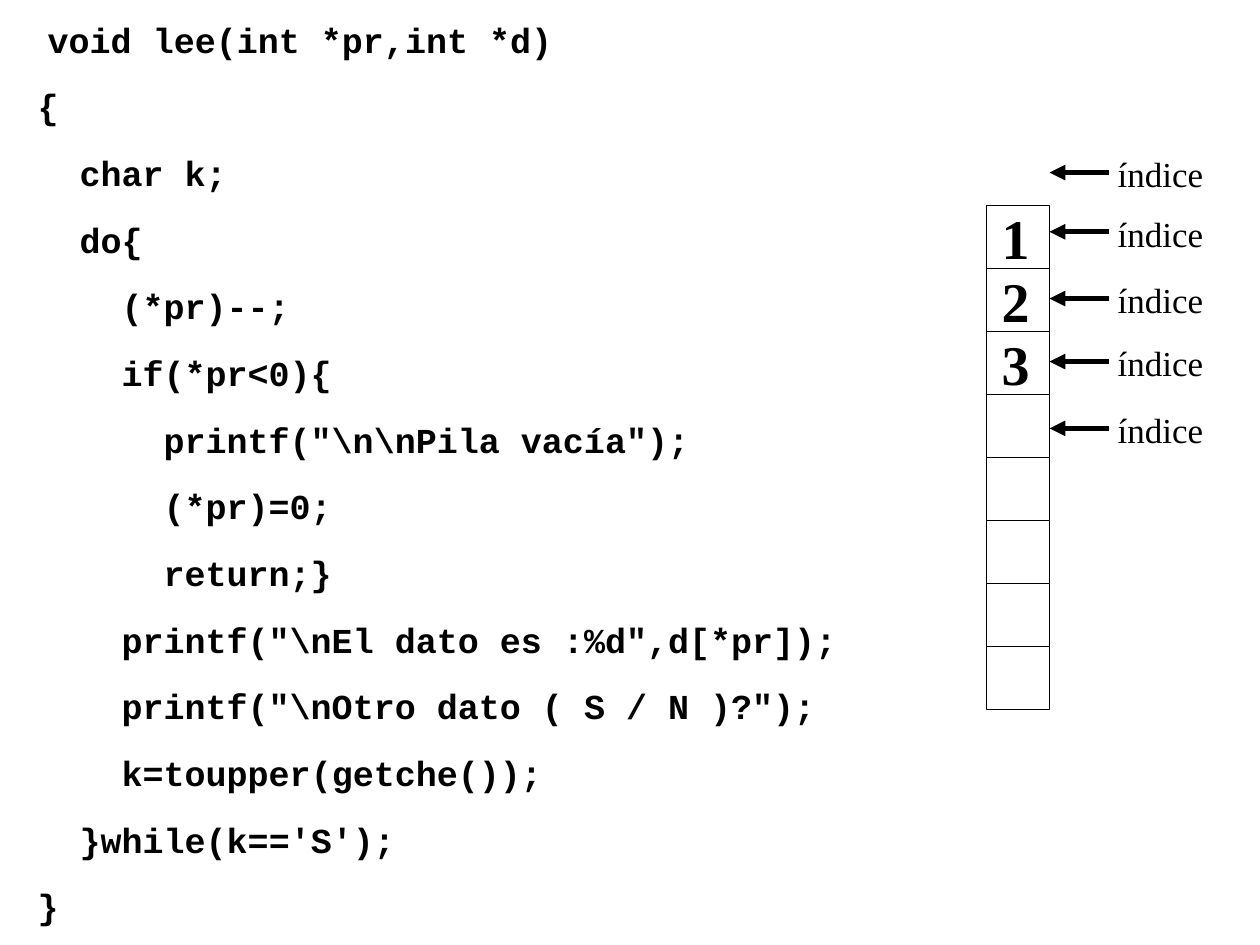
from pptx import Presentation
from pptx.dml.color import RGBColor
from pptx.enum import shapes, text
from pptx.oxml.ns import qn
from pptx.util import Inches, Pt
from lxml import etree

BLACK, WHITE = "000000", "FFFFFF"
CODE_FONT, LABEL_FONT = "Courier New", "Times New Roman"
CHAR_WIDTH = 1 / 6  # inches, for the 20 pt fixed-width font
INDENT_CHARS = 2

# Indent level and wording of each line
CODE = [
    (0, "void lee(int *pr,int *d)"),
    (0, "{"),
    (1, "char k;"),
    (1, "do{"),
    (2, "(*pr)--;"),
    (2, "if(*pr<0){"),
    (3, 'printf("\\n\\nPila vacía");'),
    (3, "(*pr)=0;"),
    (3, "return;}"),
    (2, 'printf("\\nEl dato es :%d",d[*pr]);'),
    (2, 'printf("\\nOtro dato ( S / N )?");'),
    (2, "k=toupper(getche());"),
    (1, "}while(k=='S');"),
    (0, "}"),
]
STACK_VALUES = ["1", "2", "3"]
STACK_SIZE = 8
INDEX_TOPS = [1.23, 1.70, 2.23, 2.73, 3.26]


def color(hex_string):
    return RGBColor.from_string(hex_string)


def add_run(paragraph, wording, font, size, bold=False):
    run = paragraph.add_run()
    run.text = wording
    run.font.name = font
    run.font.size = Pt(size)
    run.font.bold = bold
    run.font.color.rgb = color(BLACK)


def add_box(parent, left, top, width, height):
    """Add a plain white rectangle without outline or text margins."""
    box = parent.add_shape(shapes.MSO_SHAPE.RECTANGLE, Inches(left), Inches(top),
                           Inches(width), Inches(height))
    box.shadow.inherit = False
    box.fill.solid()
    box.fill.fore_color.rgb = color(WHITE)
    box.line.fill.background()
    frame = box.text_frame
    frame.margin_left = frame.margin_right = 0
    frame.margin_top = frame.margin_bottom = 0
    frame.vertical_anchor = text.MSO_ANCHOR.MIDDLE
    frame.paragraphs[0].alignment = text.PP_ALIGN.LEFT
    return box


def add_stack(parent, left, top, cell):
    for row in range(STACK_SIZE):
        square = add_box(parent, left, top + row * cell, cell, cell)
        square.rotation = 90
        square.line.color.rgb = color(BLACK)
        square.line.width = Pt(0.75)
    for row, value in enumerate(STACK_VALUES):
        number = add_box(parent, left + 0.12, top + row * cell + 0.1, 0.3, 0.3)
        add_run(number.text_frame.paragraphs[0], value, LABEL_FONT, 32, bold=True)


def add_index_pointer(parent, left, top):
    """Group an arrow, whose tip is at left, with the label it starts from."""
    pointer = parent.add_group_shape().shapes
    label = add_box(pointer, left + 0.54, top, 0.7, 0.3)
    add_run(label.text_frame.paragraphs[0], "índice", LABEL_FONT, 20)

    arrow_y = Inches(top + 0.14)
    arrow = pointer.add_connector(shapes.MSO_CONNECTOR.STRAIGHT, Inches(left + 0.47),
                                  arrow_y, Inches(left), arrow_y)
    arrow.line.color.rgb = color(BLACK)
    arrow.line.width = Pt(3)
    properties = arrow._element.spPr
    line = properties.find(qn("a:ln"))
    etree.SubElement(line, qn("a:tailEnd"), type="triangle")
    etree.SubElement(properties, qn("a:effectLst"))


def add_code(parent, left, top, height):
    pitch = height / (len(CODE) - 1)
    for row, (level, wording) in enumerate(CODE):
        indent = level * INDENT_CHARS * CHAR_WIDTH
        width = 0.25 + indent + len(wording) * CHAR_WIDTH
        line_left = left + (0.08 if row == 0 else 0)
        line = parent.add_textbox(Inches(line_left), Inches(top + row * pitch),
                                  Inches(width), Inches(0.44))
        frame = line.text_frame
        frame.word_wrap = True
        frame.vertical_anchor = text.MSO_ANCHOR.MIDDLE
        paragraph = frame.paragraphs[0]
        paragraph.alignment = text.PP_ALIGN.LEFT
        paragraph._p.get_or_add_pPr().set("marL", str(Inches(indent)))
        add_run(paragraph, wording, CODE_FONT, 20, bold=True)


def main():
    deck = Presentation()
    deck.slide_width, deck.slide_height = Inches(10), Inches(7.5)
    slide = deck.slides.add_slide(deck.slide_layouts[6])
    add_stack(slide.shapes, left=7.83, top=1.63, cell=0.5)
    for top in INDEX_TOPS:
        add_index_pointer(slide.shapes, left=8.33, top=top)
    add_code(slide.shapes, left=0.2, top=0.09, height=6.88)
    deck.save("out.pptx")


if __name__ == "__main__":
    main()
